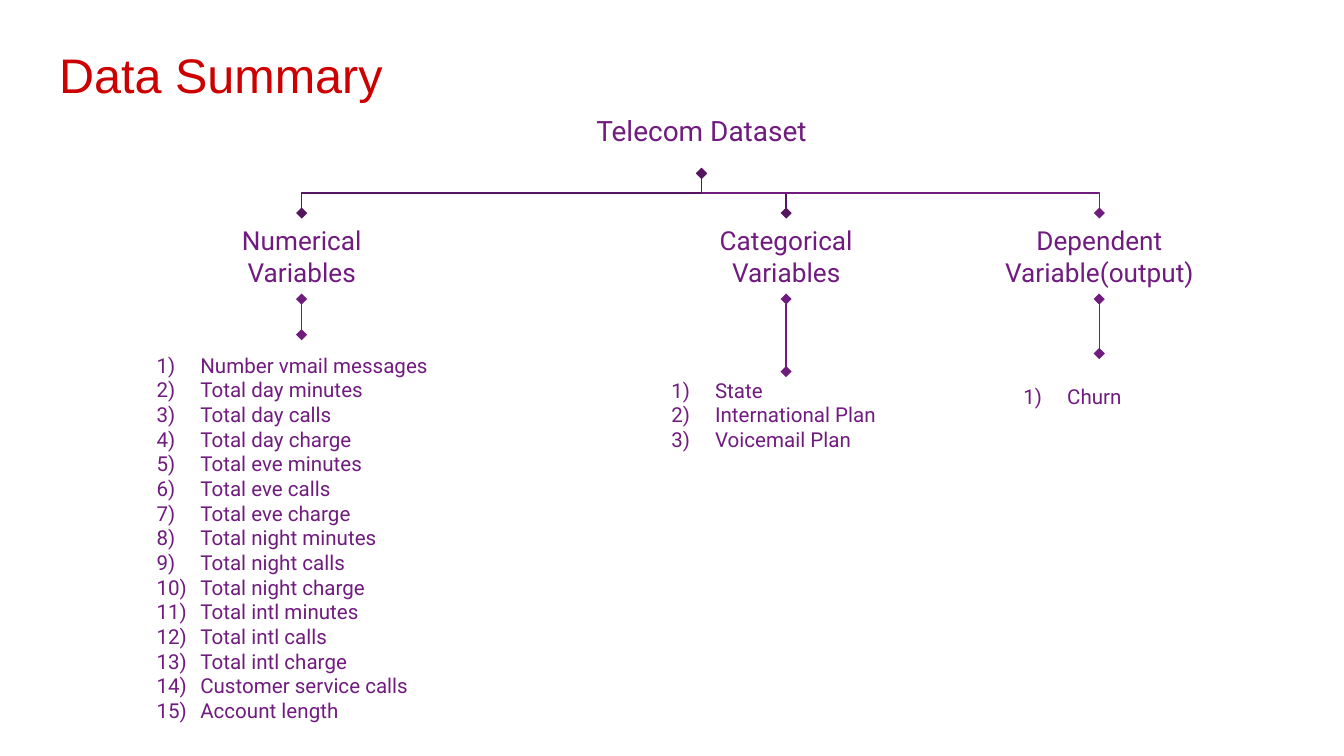
"""Build the Data Summary slide: a tree of dataset variables."""
import pptx
import pptx.dml.color
import pptx.enum.shapes
import pptx.enum.text
import pptx.oxml
import pptx.oxml.ns
import pptx.util

PX = 4572
THEME = {
    "title": {"size": 26, "name": "Arial", "color": "CC0000"},
    "root": {"size": 15, "name": "Roboto", "color": "701C7F"},
    "head": {"size": 14, "name": "Roboto", "color": "701C7F"},
    "list": {"size": 11, "name": "Roboto", "color": "701C7F"},
    "line": "701C7F",
    "dark_line": "551561",
}
ALIGN = pptx.enum.text.PP_ALIGN
ANCHOR = pptx.enum.text.MSO_ANCHOR
NS = pptx.oxml.ns.nsdecls("a")


def write(sp, box, lines, style, align=ALIGN.CENTER, anchor=ANCHOR.MIDDLE):
    sp.left, sp.top, sp.width, sp.height = [v * PX for v in box]
    tf = sp.text_frame
    frame = {"word_wrap": True, "auto_size": pptx.enum.text.MSO_AUTO_SIZE.NONE,
             "vertical_anchor": anchor}
    frame.update({f"margin_{side}": 20 * PX for side in ("left", "right", "top", "bottom")})
    for key, value in frame.items():
        setattr(tf, key, value)
    fmt = THEME[style]
    for i, line in enumerate(lines):
        p = tf.add_paragraph() if i else tf.paragraphs[0]
        p.alignment = align
        p.space_before = pptx.util.Pt(0)
        if style == "list":
            pPr = p._p.get_or_add_pPr()
            pPr.set("marL", str(100 * PX))
            pPr.set("indent", str(-65 * PX))
            for xml in (f'<a:buClr {NS}><a:srgbClr val="{fmt["color"]}"/></a:buClr>',
                        f'<a:buFont {NS} typeface="{fmt["name"]}"/>',
                        f'<a:buAutoNum {NS} type="arabicParenR"/>'):
                pPr.append(pptx.oxml.parse_xml(xml))
        r = p.add_run()
        r.text = line
        font = {"size": pptx.util.Pt(fmt["size"]), "name": fmt["name"], "bold": False}
        for key, value in font.items():
            setattr(r.font, key, value)
        r.font.color.rgb = pptx.dml.color.RGBColor.from_string(fmt["color"])


def connect(s, x1, y1, x2, y2, color):
    cx, cy = (x1 + x2) / 2, (y1 + y2) / 2
    w, h = y2 - y1, abs(x2 - x1)
    left, right = cx - w / 2, cx + w / 2
    top, bottom = cy - h / 2, cy + h / 2
    flip = x2 >= x1
    start, end = (right, left) if flip else (left, right)
    c = s.shapes.add_connector(pptx.enum.shapes.MSO_CONNECTOR.ELBOW,
                               *[round(v * PX) for v in (start, top, end, bottom)])
    spPr = c._element.spPr
    spPr.xfrm.set("rot", str((270 if flip else 90) * 60000))
    c.line.color.rgb = pptx.dml.color.RGBColor.from_string(color)
    c.line.width = pptx.util.Pt(0.75)
    ln = c.line._get_or_add_ln()
    for tag in ("headEnd", "tailEnd"):
        ln.append(pptx.oxml.parse_xml(f'<a:{tag} {NS} type="diamond"/>'))
    spPr.append(pptx.oxml.parse_xml(f"<a:effectLst {NS}/>"))


prs = pptx.Presentation()
prs.slide_width, prs.slide_height = 2000 * PX, 1125 * PX
s = prs.slides.add_slide(prs.slide_layouts.get_by_name("Comparison"))
ph = s.placeholders

write(s.shapes.title, (68, 47, 1864, 126), ["Data Summary"], "title", ALIGN.LEFT, ANCHOR.TOP)
write(ph[1], (810, 130, 468, 128), ["Telecom Dataset"], "root")

periods = ("day", "eve", "night", "intl")
measures = ("minutes", "calls", "charge")
numerical = ["Number vmail messages",
             *[f"Total {period} {measure}" for period in periods for measure in measures],
             "Customer service calls", "Account length"]
root_x, root_y, head_y, head_w, head_h = 1044, 258, 317, 336, 128

branches = [
    (1170, "Categorical Variables", ph[2], (944, 553, 454, 128),
     ["State", "International Plan", "Voicemail Plan"], "dark_line"),
    (1636, "Dependent Variable(output)", ph[3], (1468, 526, 336, 128), ["Churn"], "line"),
    (449, "Numerical Variables", ph[4], (178, 498, 542, 604), numerical, "dark_line"),
]
for x, head, sp, box, items, line in branches:
    connect(s, root_x, root_y, x, head_y, THEME[line])
    connect(s, x, head_y + head_h, x, box[1], THEME["line"])
    write(s.shapes.add_textbox(0, 0, 0, 0), (x - head_w // 2, head_y, head_w, head_h),
          [head], "head")
    write(sp, box, items, "list", ALIGN.LEFT)

prs.save("out.pptx")
